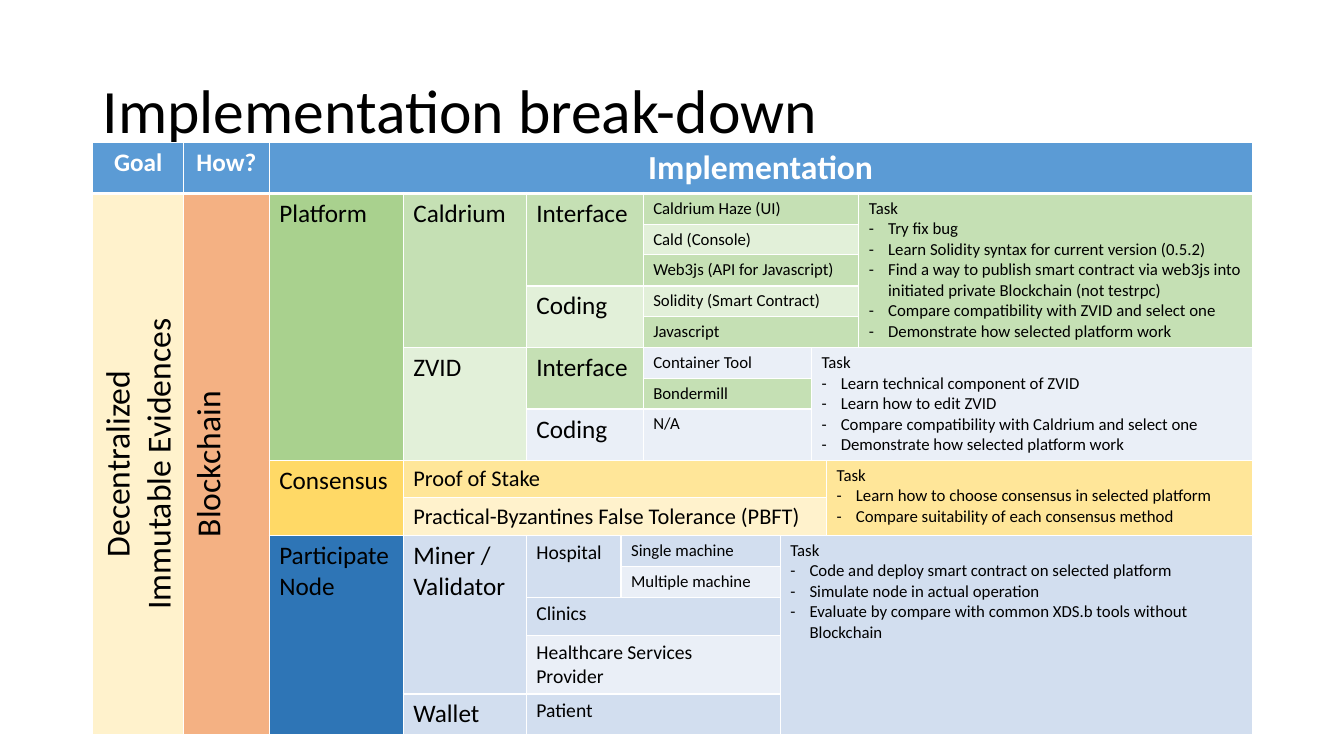
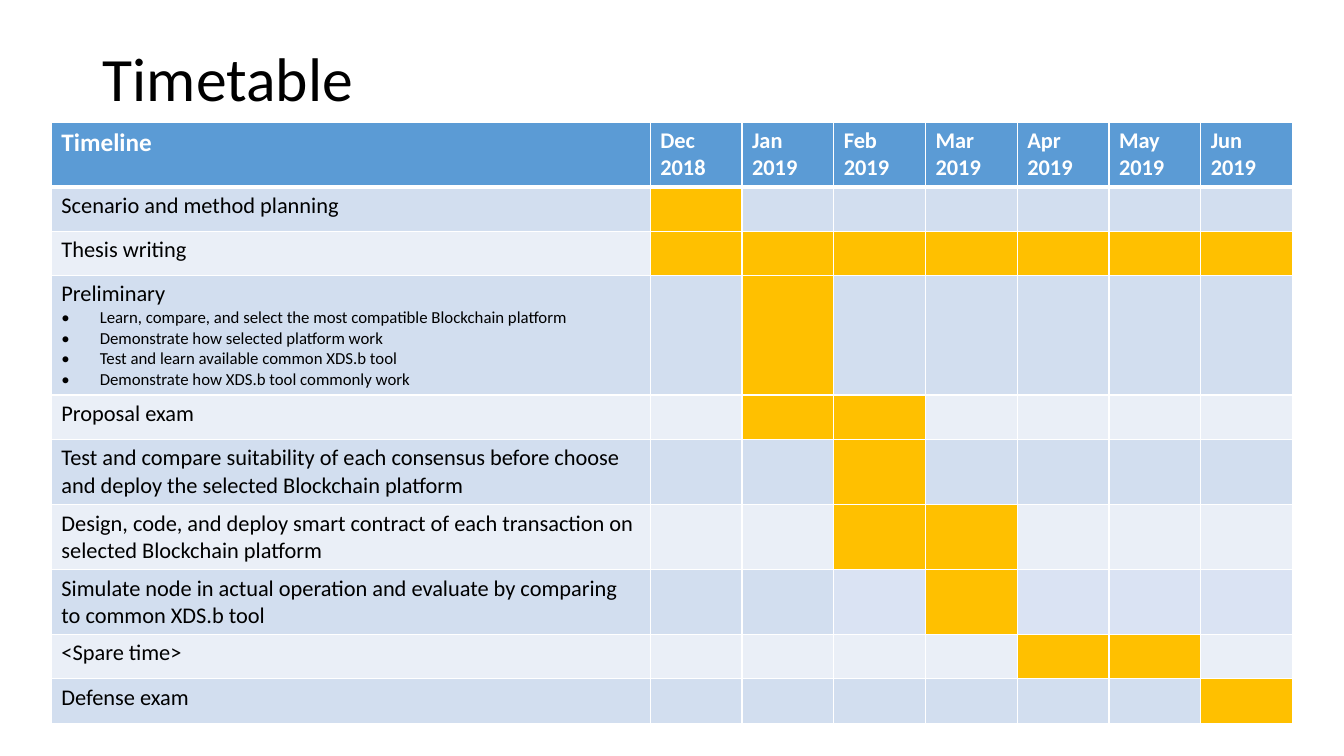
from dataclasses import dataclass

from lxml.etree import SubElement
from pptx import Presentation
from pptx.dml.color import RGBColor
from pptx.enum.text import MSO_ANCHOR, MSO_AUTO_SIZE, PP_ALIGN
from pptx.oxml.ns import qn
from pptx.util import Inches, Pt


@dataclass(frozen=True)
class Theme:
    font: str = "Calibri"
    black: str = "000000"
    white: str = "FFFFFF"
    header: str = "5B9BD5"
    cream: str = "FFF2CC"
    sand: str = "FFE699"
    gold: str = "FFD966"
    orange: str = "F4B183"
    leaf: str = "A9D18E"
    green: str = "C5E0B4"
    mint: str = "E2F0D9"
    navy: str = "2E75B6"
    blue: str = "D2DEEF"
    ice: str = "EAEFF7"
    lilac: str = "DAE3F3"
    busy: str = "FFC000"
    title: int = 44
    large: int = 24
    medium: int = 18
    body: int = 16
    small: int = 14
    tiny: int = 12
    rule: int = 1
    header_rule: int = 3


T = Theme()

PLATFORM_TASKS = [
    "Try fix bug",
    "Learn Solidity syntax for current version (0.5.2)",
    "Find a way to publish smart contract via web3js into initiated private Blockchain (not testrpc)",
    "Compare compatibility with ZVID and select one",
    "Demonstrate how selected platform work",
]
IDENTITY_TASKS = [
    "Learn technical component of ZVID",
    "Learn how to edit ZVID",
    "Compare compatibility with Caldrium and select one",
    "Demonstrate how selected platform work",
]
CONSENSUS_TASKS = [
    "Learn how to choose consensus in selected platform",
    "Compare suitability of each consensus method",
]
NODE_TASKS = [
    "Code and deploy smart contract on selected platform",
    "Simulate node in actual operation",
    "Evaluate by compare with common XDS.b tools without Blockchain",
]

BREAKDOWN_COLS = [0.9, 0.85, 1.33, 1.22, 0.94, 0.22, 1.36, 0.31, 0.15, 0.32, 3.9]
BREAKDOWN_ROWS = [0.51, 0.3, 0.3, 0.31, 0.3, 0.31, 0.3, 0.3, 0.51,
                  0.37, 0.37, 0.31, 0.3, 0.38, 0.58, 0.4]

BREAKDOWN_CELLS = [
    (1, 2, 8, 1, "Platform", T.medium, T.leaf),
    (1, 3, 5, 1, "Caldrium", T.medium, T.green),
    (1, 4, 3, 2, "Interface", T.medium, T.green),
    (1, 6, 1, 4, "Caldrium Haze (UI)", T.tiny, T.green),
    (2, 6, 1, 4, "Cald (Console)", T.tiny, T.mint),
    (3, 6, 1, 4, "Web3js (API for Javascript)", T.tiny, T.green),
    (4, 4, 2, 2, "Coding", T.medium, T.mint),
    (4, 6, 1, 4, "Solidity (Smart Contract)", T.tiny, T.mint),
    (5, 6, 1, 4, "Javascript", T.tiny, T.green),
    (6, 3, 3, 1, "ZVID", T.medium, T.mint),
    (6, 4, 2, 2, "Interface", T.medium, T.green),
    (6, 6, 1, 2, "Container Tool", T.tiny, T.ice),
    (7, 6, 1, 2, "Bondermill", T.tiny, T.green),
    (8, 4, 1, 2, "Coding", T.medium, T.ice),
    (8, 6, 1, 2, "N/A", T.tiny, T.ice),
    (9, 2, 2, 1, "Consensus", T.medium, T.gold),
    (9, 3, 1, 6, "Proof of Stake", T.body, T.sand),
    (10, 3, 1, 6, "Practical-Byzantines False Tolerance (PBFT)", T.body, T.cream),
    (11, 2, 5, 1, "Participate Node", T.medium, T.navy),
    (11, 3, 4, 1, "Miner /\nValidator", T.medium, T.blue),
    (11, 4, 2, 1, "Hospital", T.small, T.blue),
    (11, 5, 1, 2, "Single machine", T.tiny, T.blue),
    (12, 5, 1, 2, "Multiple machine", T.tiny, T.ice),
    (13, 4, 1, 3, "Clinics", T.small, T.blue),
    (14, 4, 1, 3, "Healthcare Services\nProvider", T.small, T.ice),
    (15, 3, 1, 1, "Wallet", T.medium, T.blue),
    (15, 4, 1, 3, "Patient", T.small, T.blue),
]
TASK_CELLS = [
    (1, 10, 5, 1, PLATFORM_TASKS, T.green),
    (6, 8, 3, 3, IDENTITY_TASKS, T.ice),
    (9, 9, 2, 2, CONSENSUS_TASKS, T.sand),
    (11, 7, 5, 4, NODE_TASKS, T.blue),
]

MONTHS = ["Dec 2018", "Jan 2019", "Feb 2019", "Mar 2019", "Apr 2019", "May 2019", "Jun 2019"]
PRELIMINARY_STEPS = [
    "Learn, compare, and select the most compatible Blockchain platform",
    "Demonstrate how selected platform work",
    "Test and learn available common XDS.b tool",
    "Demonstrate how XDS.b tool commonly work",
]
SIMULATION = "Simulate node in actual operation and evaluate by comparing to common XDS.b tool"

ACTIVITIES = [
    ("Scenario and method planning", [], 1, 1, 0.44),
    ("Thesis writing", [], 1, 7, 0.44),
    ("Preliminary", PRELIMINARY_STEPS, 2, 2, 1.18),
    ("Proposal exam", [], 2, 3, 0.44),
    ("Test and compare suitability of each consensus before choose and deploy "
     "the selected Blockchain platform", [], 3, 3, 0.65),
    ("Design, code, and deploy smart contract of each transaction on selected "
     "Blockchain platform", [], 3, 4, 0.64),
    (SIMULATION, [], 4, 4, 0.64),
    ("<Spare time>", [], 5, 6, 0.44),
    ("Defense exam", [], 7, 7, 0.44),
]


def add_titled_slide(prs, title, height):
    slide = prs.slides.add_slide(prs.slide_layouts[5])
    sp = slide.shapes.title
    sp.left, sp.top = Inches(0.92), Inches(0.4)
    sp.width, sp.height = Inches(11.5), Inches(height)
    tf = sp.text_frame
    tf.text = title
    tf.auto_size = MSO_AUTO_SIZE.NONE
    tf.vertical_anchor = MSO_ANCHOR.MIDDLE
    p = tf.paragraphs[0]
    p.line_spacing = 0.9
    format_paragraph(p, T.title)
    return slide


def format_paragraph(p, size, color=T.black, bold=False, align=PP_ALIGN.LEFT):
    p.alignment = align
    for r in p.runs:
        r.font.name = T.font
        r.font.size = Pt(size)
        r.font.bold = bold
        r.font.color.rgb = RGBColor.from_string(color)


def set_bullet(p, char, indent):
    pPr = p._p.get_or_add_pPr()
    pPr.set("marL", str(Inches(indent)))
    pPr.set("indent", str(-Inches(indent)))
    SubElement(pPr, qn("a:buFont")).set("typeface", T.font)
    SubElement(pPr, qn("a:buChar")).set("char", char)


def add_bullets(cell, items, char, indent):
    for item in items:
        p = cell.text_frame.add_paragraph()
        p.text = item
        format_paragraph(p, T.tiny)
        set_bullet(p, char, indent)


def set_borders(cell, top, bottom):
    tcPr = cell._tc.get_or_add_tcPr()
    for side, width in (("L", T.rule), ("R", T.rule), ("T", top), ("B", bottom)):
        ln = SubElement(tcPr, qn(f"a:ln{side}"))
        ln.set("w", str(Pt(width)))
        fill = SubElement(ln, qn("a:solidFill"))
        SubElement(fill, qn("a:srgbClr")).set("val", T.white)


def add_grid(slide, left, top, cols, rows):
    frame = slide.shapes.add_table(len(rows), len(cols), Inches(left), Inches(top),
                                   Inches(sum(cols)), Inches(sum(rows)))
    table = frame.table
    table.first_row = table.horz_banding = False
    for column, width in zip(table.columns, cols):
        column.width = Inches(width)
    for i, (row, height) in enumerate(zip(table.rows, rows)):
        row.height = Inches(height)
        for cell in row.cells:
            set_borders(cell, T.header_rule if i == 1 else T.rule,
                        T.header_rule if i == 0 else T.rule)
    return table


def fill_cell(cell, fill, text="", size=T.body, **style):
    cell.fill.solid()
    cell.fill.fore_color.rgb = RGBColor.from_string(fill)
    if text:
        cell.text_frame.text = text
        for p in cell.text_frame.paragraphs:
            format_paragraph(p, size, **style)


def span_cell(table, row, col, row_span, col_span):
    cell = table.cell(row, col)
    if row_span * col_span > 1:
        cell.merge(table.cell(row + row_span - 1, col + col_span - 1))
    return cell


def fill_header(cell, text, size, align=PP_ALIGN.LEFT):
    fill_cell(cell, T.header, text, size, color=T.white, bold=True, align=align)


def fill_vertical(table, col, text, fill):
    cell = span_cell(table, 1, col, len(table.rows) - 1, 1)
    fill_cell(cell, fill, text, T.large, align=PP_ALIGN.CENTER)
    cell._tc.get_or_add_tcPr().set("vert", "vert270")


def build_breakdown(prs):
    slide = add_titled_slide(prs, "Implementation break-down", 1.45)
    table = add_grid(slide, 0.92, 1.41, BREAKDOWN_COLS, BREAKDOWN_ROWS)
    headers = [("Goal", T.medium, 1), ("How?", T.medium, 1), ("Implementation", T.large, 9)]
    for col, (text, size, span) in enumerate(headers):
        fill_header(span_cell(table, 0, col, 1, span), text, size, PP_ALIGN.CENTER)
    fill_vertical(table, 0, "Decentralized\nImmutable Evidences", T.cream)
    fill_vertical(table, 1, "Blockchain", T.orange)
    for *place, text, size, fill in BREAKDOWN_CELLS:
        fill_cell(span_cell(table, *place), fill, text, size)
    for *place, tasks, fill in TASK_CELLS:
        cell = span_cell(table, *place)
        fill_cell(cell, fill, "Task", T.tiny)
        add_bullets(cell, tasks, "-", 0.19)


def build_timetable(prs):
    slide = add_titled_slide(prs, "Timetable", 0.81)
    cols = [5.94] + [0.91] * len(MONTHS)
    rows = [0.64] + [activity[-1] for activity in ACTIVITIES]
    table = add_grid(slide, 0.51, 1.21, cols, rows)
    fill_header(table.cell(0, 0), "Timeline", T.medium)
    for col, month in enumerate(MONTHS, 1):
        fill_header(table.cell(0, col), month, T.body)
    for row, (name, steps, first, last, _) in enumerate(ACTIVITIES, 1):
        shade = T.blue if row % 2 else T.ice
        fill_cell(table.cell(row, 0), shade, name)
        add_bullets(table.cell(row, 0), steps, "•", 0.38)
        for col in range(1, len(cols)):
            idle = T.lilac if name == SIMULATION and col > 2 else shade
            fill_cell(table.cell(row, col), T.busy if first <= col <= last else idle)


def main():
    prs = Presentation()
    prs.slide_width, prs.slide_height = Inches(13.33), Inches(7.5)
    build_breakdown(prs)
    build_timetable(prs)
    prs.save("out.pptx")


if __name__ == "__main__":
    main()
